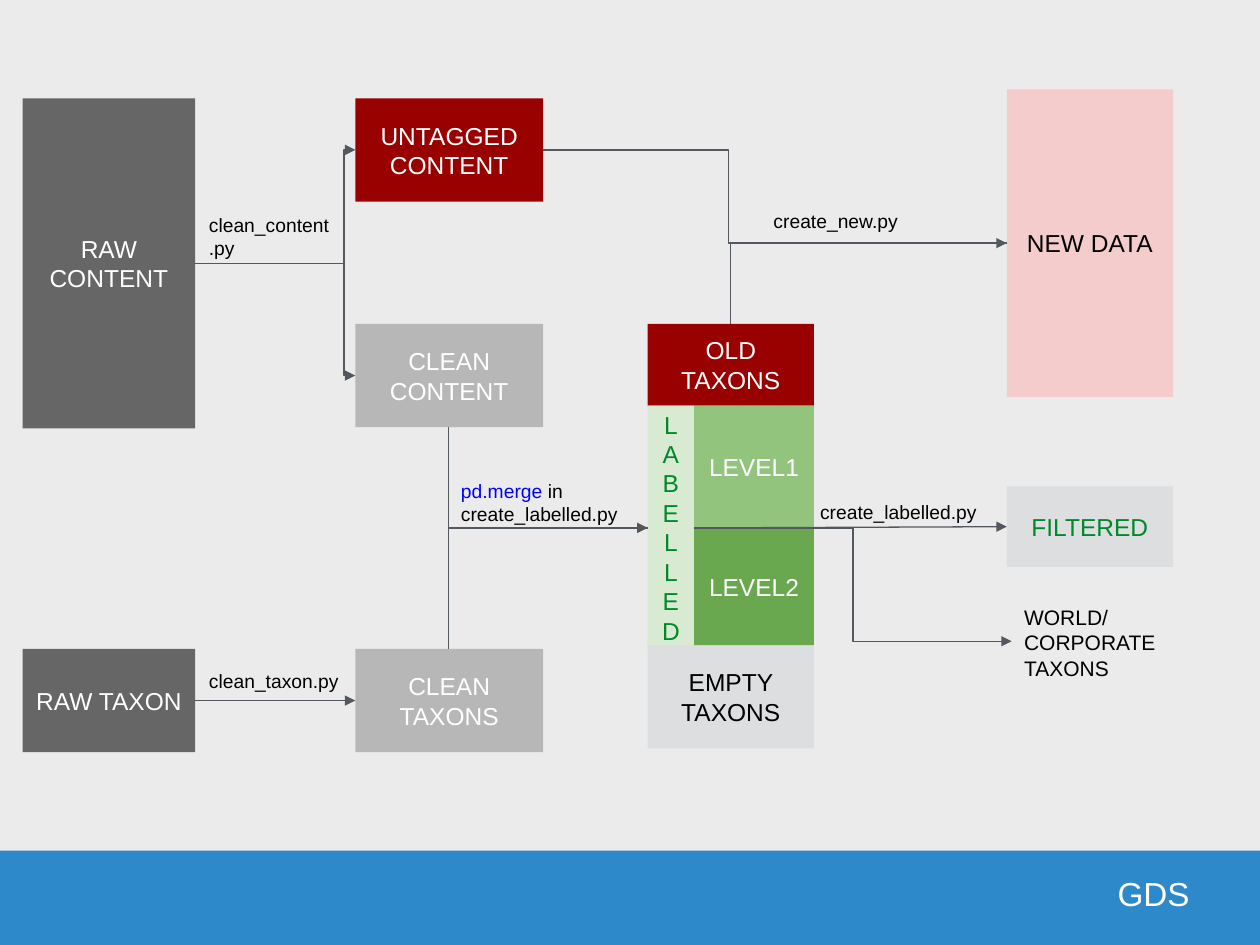
import pptx
import pptx.dml.color
import pptx.enum.shapes
import pptx.enum.text
import pptx.oxml.ns
import pptx.util
from lxml import etree

COLUMNS, ROWS = 100, 75
LINE, DARK, MID, PALE = "53585F", "666666", "B7B7B7", "DCDEE0"
RED, GREEN, WHITE, BLACK = "990000", "00882B", "FFFFFF", "000000"
ALIGN = pptx.enum.text.PP_ALIGN
ANCHOR = pptx.enum.text.MSO_ANCHOR
CONNECTOR = pptx.enum.shapes.MSO_CONNECTOR


def color(value):
    return pptx.dml.color.RGBColor.from_string(value)


def apply_format(target, values):
    for name, value in values.items():
        setattr(target, name, value)


def add_element(parent, tag, **attributes):
    return etree.SubElement(parent, pptx.oxml.ns.qn(tag), attributes)


class Diagram:
    font = "Arial"

    def __init__(self, presentation, background):
        self.width = presentation.slide_width
        self.height = presentation.slide_height
        self.slide = presentation.slides.add_slide(presentation.slide_layouts[6])
        self.slide.background.fill.solid()
        self.slide.background.fill.fore_color.rgb = color(background)

    def place(self, *lengths):
        steps = (self.width / COLUMNS, self.height / ROWS) * 2
        return [round(length * step) for length, step in zip(lengths, steps)]

    def fill_text(self, shape, paragraphs, size, align, anchor, inset=0.1):
        frame = shape.text_frame
        margins = dict.fromkeys(
            ("margin_left", "margin_top", "margin_right", "margin_bottom"),
            pptx.util.Inches(inset))
        apply_format(frame, {"word_wrap": True, "vertical_anchor": anchor, **margins})
        for index, runs in enumerate(paragraphs):
            paragraph = frame.add_paragraph() if index else frame.paragraphs[0]
            paragraph.alignment = align
            for text, shade in runs:
                run = paragraph.add_run()
                run.text = text
                apply_format(run.font, {"name": self.font, "size": pptx.util.Pt(size)})
                run.font.color.rgb = color(shade)

    def box(self, at, fill, text=None, shade=WHITE):
        shape = self.slide.shapes.add_shape(
            pptx.enum.shapes.MSO_SHAPE.RECTANGLE, *self.place(*at))
        shape.shadow.inherit = False
        shape.fill.solid()
        shape.fill.fore_color.rgb = color(fill)
        shape.line.fill.background()
        if text:
            self.fill_text(shape, [[(text, shade)]], 14, ALIGN.CENTER, ANCHOR.MIDDLE)

    def label(self, at, paragraphs, size=11, align=ALIGN.LEFT, anchor=ANCHOR.TOP, inset=0.1):
        shape = self.slide.shapes.add_textbox(*self.place(*at))
        self.fill_text(shape, paragraphs, size, align, anchor, inset)

    def link(self, begin, end, arrow=None, turn=None):
        kind = CONNECTOR.STRAIGHT if turn is None else CONNECTOR.ELBOW
        connector = self.slide.shapes.add_connector(kind, *self.place(*begin, *end))
        connector.line.color.rgb = color(LINE)
        connector.line.width = pptx.util.Pt(0.75)
        properties = connector._element.spPr
        if turn is not None:
            geometry = properties.find(pptx.oxml.ns.qn("a:prstGeom"))
            if turn == 1:
                geometry.set("prst", "bentConnector2")
            else:
                guides = geometry.find(pptx.oxml.ns.qn("a:avLst"))
                add_element(guides, "a:gd", name="adj1", fmla=f"val {round(turn * 100000)}")
        if arrow:
            add_element(properties.find(pptx.oxml.ns.qn("a:ln")), arrow, type="triangle")
        add_element(properties, "a:effectLst")


def main():
    presentation = pptx.Presentation()
    apply_format(presentation, {"slide_width": pptx.util.Inches(10),
                                "slide_height": pptx.util.Inches(7.5)})
    diagram = Diagram(presentation, "EBEBEB")

    diagram.box((0, 67.5, 100, 7.5), "2E89CA")
    diagram.label((64.6, 68.8, 29.8, 4.2), [[("GDS", WHITE)]], 19,
                  ALIGN.RIGHT, ANCHOR.MIDDLE, 0)

    raw, clean, taxon, level, result = 1.8, 28.2, 51.4, 55.1, 79.9
    raw_width, clean_width, taxon_width, level_width = 13.7, 14.9, 13.2, 9.5
    top, middle, labelled, split, empty, bottom = 7.8, 25.7, 32.2, 41.9, 51.2, 51.5
    height = 8.2
    boxes = [
        ((raw, top, raw_width, 26.2), DARK, "RAW CONTENT", WHITE),
        ((raw, bottom, raw_width, height), DARK, "RAW TAXON", WHITE),
        ((clean, top, clean_width, height), RED, "UNTAGGED CONTENT", WHITE),
        ((clean, middle, clean_width, height), MID, "CLEAN CONTENT", WHITE),
        ((clean, bottom, clean_width, height), MID, "CLEAN TAXONS", WHITE),
        ((taxon, middle, taxon_width, labelled - middle), RED, "OLD TAXONS", WHITE),
        ((taxon, labelled, level - taxon, 19.3), "D9EAD3", "LABELLED", GREEN),
        ((taxon, empty, taxon_width, height), PALE, "EMPTY TAXONS", BLACK),
        ((level, labelled, level_width, split - labelled), "93C47D", "LEVEL1", WHITE),
        ((level, split, level_width, empty - split), "6AA84F", "LEVEL2", WHITE),
        ((result, 7.1, taxon_width, 24.4), "F4CCCC", "NEW DATA", BLACK),
        ((result, 38.6, taxon_width, 6.4), PALE, "FILTERED", GREEN),
    ]
    for box in boxes:
        diagram.box(*box)

    raw_edge, clean_center, old_center = raw + raw_width, 35.6, 58
    raw_row, untagged_row, new_row, taxon_row = 20.9, 11.9, 19.3, 55.6
    head, tail = "a:headEnd", "a:tailEnd"
    links = [
        ((raw_edge, raw_row), (clean, untagged_row), tail, 0.93),
        ((raw_edge, raw_row), (clean, middle + height / 2), tail, 0.93),
        ((raw_edge, taxon_row), (clean, taxon_row), tail),
        ((taxon, split), (clean_center, middle + height), head, 1),
        ((taxon, split), (clean_center, bottom), None, 1),
        ((level, split), (result, 41.8), tail),
        ((80.3, 50.9), (level, split), head, 0.5),
        ((result, new_row), (old_center, middle), head, 1),
        ((clean + clean_width, untagged_row), (result, new_row), None, 0.4),
    ]
    for link in links:
        diagram.link(*link)

    labels = [
        ((15.6, 15.9, 11.6, 5.2), [[("clean_content", BLACK)], [(".py", BLACK)]]),
        ((15.6, 52.2, 12.5, 3.4), [[("clean_taxon.py", BLACK)]]),
        ((35.6, 37, 15.8, 5.2), [[("pd.merge", "0000FF"), (" in create_labelled.py", BLACK)]]),
        ((64.1, 38.8, 15.8, 3.4), [[("create_labelled.py", BLACK)]]),
        ((60.4, 15.7, 15.8, 3.4), [[("create_new.py", BLACK)]]),
        ((80.3, 47, 12.7, 7.9), [[("WORLD/", BLACK)], [("CORPORATE TAXONS", BLACK)]], 12),
    ]
    for label in labels:
        diagram.label(*label)

    presentation.save("out.pptx")


if __name__ == "__main__":
    main()
